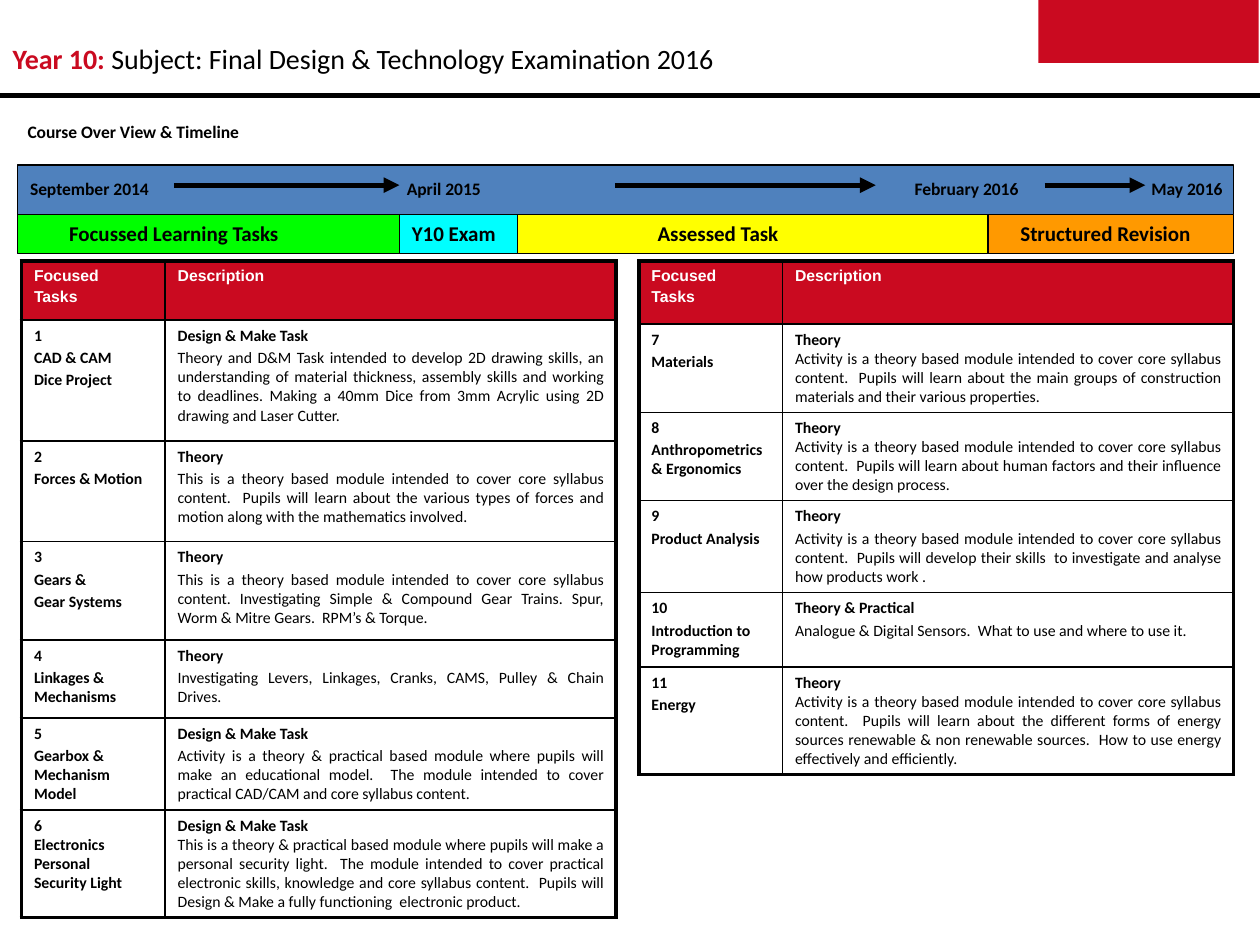
import pptx
import pptx.util
import pptx.dml.color
import pptx.enum.shapes
import pptx.enum.text
import pptx.oxml.ns
from lxml import etree

COLORS = {"red": "CA0A20", "black": "000000", "white": "FFFFFF", "blue": "4F81BD",
          "green": "00FF00", "cyan": "00FFFF", "yellow": "FFFF00", "orange": "FF9900"}
JUSTIFY = pptx.enum.text.PP_ALIGN.JUSTIFY
LEFT = pptx.enum.text.PP_ALIGN.LEFT
WIDTH, HEIGHT = 10, 7.5
BAND_TOP, STAGE_TOP, STAGE_H, TABLE_TOP = 1.31, 1.7, 0.31, 2.07
GAP = 1.8
THICK, THIN = 2.25, 1
COLUMNS = (1.14, 3.58)
INTRO = "Activity is a theory based module intended to cover core syllabus content.  Pupils will "
MODULE = "This is a theory based module intended to cover core syllabus content. "

# Stage: left edge, colour, label, label left, label width
STAGES = [(0.14, "green", "Focussed Learning Tasks", 0.45, 2.22),
          (3.17, "cyan", "Y10 Exam", 3.17, 0.97),
          (4.11, "yellow", "Assessed Task", 5.12, 1.38),
          (7.84, "orange", "Structured Revision", 8, 1.76)]
BAND_RIGHT = 9.79
DATES = ["September 2014", "April 2015", "February 2016", "May 2016"]
DATE_STOPS = [2.99, 7.02, 8.9]
ARROWS = [(1.38, 3.17), (4.88, 6.95), (8.29, 9.09)]

# Task: row height, label lines, heading, description, space before labels, space before description
FIRST_TASKS = [
    (0.96, ["1", "CAD & CAM", "Dice Project"], "Design & Make Task",
     "Theory and D&M Task intended to develop 2D drawing skills, an understanding of material "
     "thickness, assembly skills and working to deadlines. Making a 40mm Dice from 3mm Acrylic "
     "using 2D drawing and Laser Cutter.", GAP, GAP),
    (0.8, ["2", "Forces & Motion"], "Theory",
     MODULE + " Pupils will learn about the various types of forces and motion along with the "
     "mathematics involved.", GAP, GAP),
    (0.78, ["3", "Gears &", "Gear Systems"], "Theory",
     MODULE + "Investigating Simple & Compound Gear Trains. Spur, Worm & Mitre Gears.  "
     "RPM\u2019s & Torque.", GAP, GAP),
    (0.62, ["4", "Linkages & Mechanisms"], "Theory",
     "Investigating Levers, Linkages, Cranks, CAMS, Pulley & Chain Drives.", GAP, GAP),
    (0.73, ["5", "Gearbox & Mechanism Model"], "Design & Make Task",
     "Activity is a theory & practical based module where pupils will make an educational "
     "model.  The module intended to cover practical CAD/CAM and core syllabus content.",
     GAP, GAP),
    (0.85, ["6", "Electronics Personal", "Security Light"], "Design & Make Task",
     "This is a theory & practical based module where pupils will make a personal security "
     "light.  The module intended to cover practical electronic skills, knowledge and core "
     "syllabus content.  Pupils will Design & Make a fully functioning  electronic product.",
     0, 0)]
LATER_TASKS = [
    (0.7, ["7", "Materials"], "Theory",
     INTRO + "learn about the main groups of construction materials and their various "
     "properties.", GAP, 0),
    (0.7, ["8", "Anthropometrics & Ergonomics"], "Theory",
     INTRO + "learn about human factors and their influence over the design process.", GAP, 0),
    (0.73, ["9", "Product Analysis"], "Theory",
     INTRO + "develop their skills  to investigate and analyse how products work .", GAP, GAP),
    (0.59, ["10", "Introduction to Programming"], "Theory & Practical",
     "Analogue & Digital Sensors.  What to use and where to use it.", GAP, GAP),
    (0.85, ["11", "Energy"], "Theory",
     INTRO + "learn about the different forms of energy sources renewable & non renewable "
     "sources.  How to use energy effectively and efficiently.", GAP, 0)]


def inches(*values):
    """Convert numbers to inch lengths."""
    return [pptx.util.Inches(v) for v in values]


def rgb(name):
    """Look up a palette colour."""
    return pptx.dml.color.RGBColor.from_string(COLORS[name])


def write(tf, text, size=9, color="black", bold=False, font="Calibri", align=LEFT, before=0):
    """Add a paragraph; text is a string or a list of (text, colour, bold) runs."""
    p = tf.add_paragraph() if tf.text else tf.paragraphs[0]
    p.alignment, p.space_before = align, pptx.util.Pt(before)
    for words, run_color, run_bold in [(text, color, bold)] if isinstance(text, str) else text:
        r = p.add_run()
        r.text = words
        r.font.size, r.font.name, r.font.bold = pptx.util.Pt(size), font, run_bold
        r.font.color.rgb = rgb(run_color)
    return p


def add_label(shapes, box, text, wrap=True, **fmt):
    """Add a text box holding one paragraph."""
    tf = shapes.add_textbox(*inches(*box)).text_frame
    tf.word_wrap = wrap
    return write(tf, text, **fmt)


def add_block(shapes, box, fill, outlined=True):
    """Add a flat rectangle."""
    sp = shapes.add_shape(pptx.enum.shapes.MSO_SHAPE.RECTANGLE, *inches(*box))
    sp.shadow.inherit = False
    sp.fill.solid()
    sp.fill.fore_color.rgb = rgb(fill)
    if outlined:
        sp.line.color.rgb, sp.line.width = rgb("black"), pptx.util.Pt(0.75)
    else:
        sp.line.fill.background()


def add_rule(shapes, x1, x2, y, arrow=False):
    """Add a heavy horizontal line, optionally ending in an arrowhead."""
    line = shapes.add_connector(pptx.enum.shapes.MSO_CONNECTOR.STRAIGHT, *inches(x1, y, x2, y))
    line.line.color.rgb, line.line.width = rgb("black"), pptx.util.Pt(3)
    if arrow:
        etree.SubElement(line.line._get_or_add_ln(), pptx.oxml.ns.qn("a:tailEnd"), type="triangle")
    etree.SubElement(line._element.spPr, pptx.oxml.ns.qn("a:effectLst"))


def set_borders(cell, **widths):
    """Draw black cell borders, given as side=points in the order L, R, T, B."""
    qn = pptx.oxml.ns.qn
    tcPr = cell._tc.get_or_add_tcPr()
    for side, width in widths.items():
        ln = etree.SubElement(tcPr, qn("a:ln" + side), w=str(pptx.util.Pt(width)))
        fill = etree.SubElement(ln, qn("a:solidFill"))
        etree.SubElement(fill, qn("a:srgbClr"), val=COLORS["black"])


def add_task_table(shapes, left, header_height, tasks):
    """Add a table of tasks and descriptions under a red header."""
    heights = [header_height] + [task[0] for task in tasks]
    frame = shapes.add_table(len(heights), 2, *inches(left, TABLE_TOP, sum(COLUMNS), sum(heights)))
    table = frame.table
    table.first_row = table.horz_banding = False
    for column, width in zip(table.columns, COLUMNS):
        column.width = pptx.util.Inches(width)
    last = len(heights) - 1
    for i, height in enumerate(heights):
        table.rows[i].height = pptx.util.Inches(height)
        for j in range(2):
            cell = table.cell(i, j)
            set_borders(cell, L=THIN if j else THICK, R=THICK if j else THIN,
                        T=THIN if i else THICK, B=THICK if i == last else THIN)
            if i:
                cell.fill.background()
            else:
                cell.fill.solid()
                cell.fill.fore_color.rgb = rgb("red")
    for j, lines in enumerate((["Focused", "Tasks"], ["Description"])):
        for text in lines:
            write(table.cell(0, j).text_frame, text, color="white", bold=True, font="Arial",
                  before=GAP)
    for i, (_, labels, heading, text, label_gap, text_gap) in enumerate(tasks, 1):
        for label in labels:
            write(table.cell(i, 0).text_frame, label, bold=True, before=label_gap)
        tf = table.cell(i, 1).text_frame
        write(tf, heading, bold=True, before=label_gap)
        write(tf, text, align=JUSTIFY, before=text_gap)


def add_timeline(s):
    """Add the grouped date band, arrows and coloured stages."""
    shapes = s.shapes.add_group_shape().shapes
    left = STAGES[0][0]
    add_block(shapes, (left, BAND_TOP, BAND_RIGHT - left, STAGE_TOP - BAND_TOP), "blue")
    p = add_label(shapes, (left, 1.36, 9.76, 0.34), "\t".join(DATES), size=10, bold=True)
    tabs = etree.SubElement(p._p.get_or_add_pPr(), pptx.oxml.ns.qn("a:tabLst"))
    for stop in DATE_STOPS:
        etree.SubElement(tabs, pptx.oxml.ns.qn("a:tab"), pos=str(pptx.util.Inches(stop)), algn="l")
    for x1, x2 in ARROWS:
        add_rule(shapes, x1, x2, 1.47, arrow=True)
    edges = [stage[0] for stage in STAGES[1:]] + [BAND_RIGHT]
    for (x, color, text, text_x, text_w), right in zip(STAGES, edges):
        add_block(shapes, (x, STAGE_TOP, right - x, STAGE_H), color)
        add_label(shapes, (text_x, STAGE_TOP, text_w, 0.3), text, wrap=False, size=12, bold=True)


def add_title(s):
    """Place and format the title placeholder."""
    sp = s.shapes.title
    sp.left, sp.top, sp.width, sp.height = inches(0, 0.28, 8.15, 0.37)
    tf = sp.text_frame
    tf.word_wrap = True
    tf.auto_size = pptx.enum.text.MSO_AUTO_SIZE.NONE
    tf.vertical_anchor = pptx.enum.text.MSO_ANCHOR.TOP
    write(tf, [("Year 10:", "red", True),
               (" Subject: Final Design & Technology Examination 2016", "black", False)], size=16)


def main():
    """Build the course overview slide."""
    prs = pptx.Presentation()
    prs.slide_width, prs.slide_height = inches(WIDTH, HEIGHT)
    s = prs.slides.add_slide(prs.slide_layouts[5])
    add_block(s.shapes, (8.24, 0, 1.75, 0.5), "red", outlined=False)
    add_title(s)
    add_rule(s.shapes, 0, WIDTH, 0.76)
    add_label(s.shapes, (0.12, 0.91, 9.88, 0.32), "Course Over View & Timeline",
              size=10, bold=True)
    add_task_table(s.shapes, 5.07, 0.5, LATER_TASKS)
    add_timeline(s)
    add_task_table(s.shapes, 0.17, 0.47, FIRST_TASKS)
    prs.save("out.pptx")


main()
